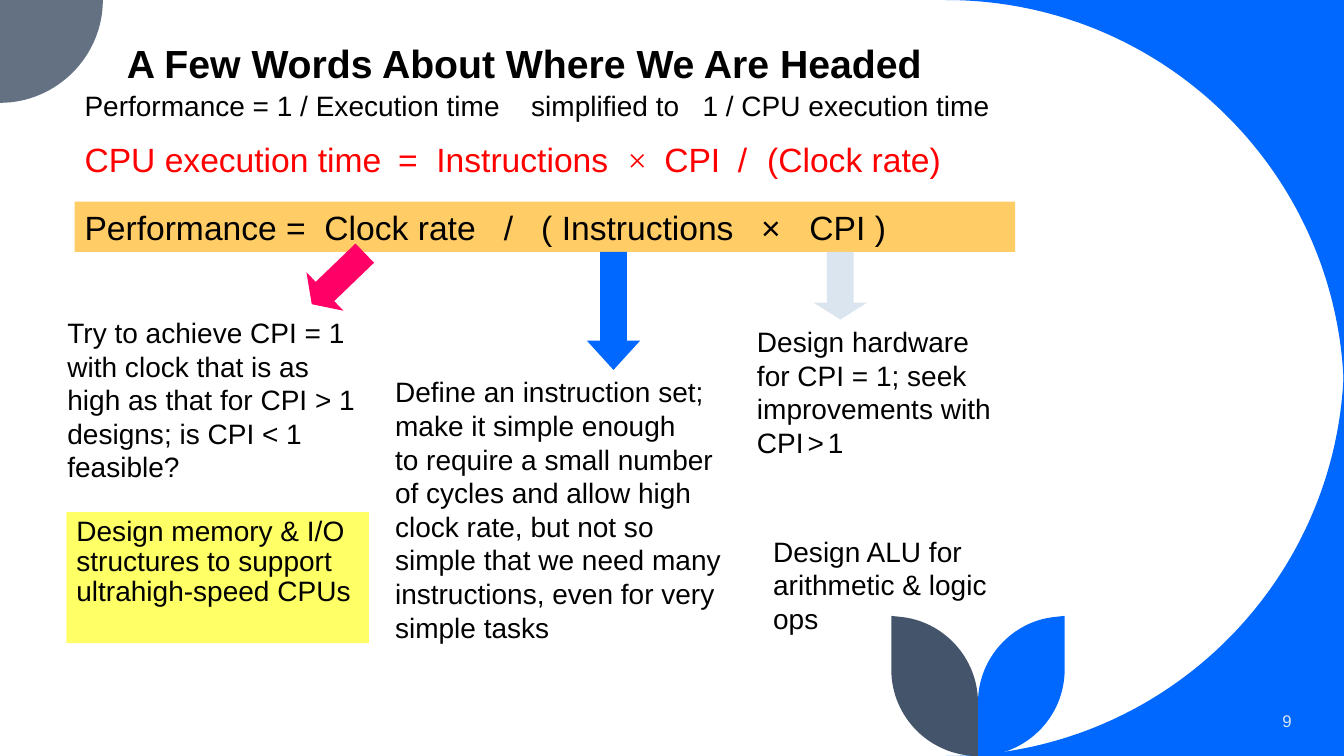
from lxml.etree import SubElement
from pptx import Presentation
from pptx.dml.color import RGBColor
from pptx.enum.shapes import MSO_SHAPE
from pptx.enum.text import MSO_ANCHOR, PP_ALIGN
from pptx.oxml.ns import qn
from pptx.util import Pt

PX = 9144  # EMU per px, 100 px to the inch
BLUE, SLATE, GREY, PALE = "0068FF", "44546A", "637183", "DAE5EF"
BLACK, RED = "000000", "FF0000"
LEAF_AXIS = 970


def rgb(value):
    return RGBColor.from_string(value)


def box(left, top, width, height):
    return [n * PX for n in (left, top, width, height)]


def paint(sp, fill):
    sp.fill.solid()
    sp.fill.fore_color.rgb = rgb(fill)
    sp.line.fill.background()
    sp.shadow.inherit = False


def add_outline(s, points, curves, fill):
    """Closed outline; each index in curves starts a cubic of three points."""
    builder = s.shapes.build_freeform(*points[0], scale=PX)
    builder.add_line_segments(points[1:], close=True)
    sp = builder.convert_to_shape()
    lines = [None] + list(sp._element.iter(qn("a:lnTo")))
    for i in curves:
        lines[i].tag = qn("a:cubicBezTo")
        for line in lines[i + 1:i + 3]:
            lines[i].append(line[0])
            line.getparent().remove(line)
    paint(sp, fill)


def add_leaf(s, fill, mirrored=False):
    points = [(1056, 611), (1056, 664), (1056, 712), (1017, 750), (970, 750),
              (970, 697), (970, 653), (1004, 616), (1047, 612)]
    if mirrored:
        points = [(2 * LEAF_AXIS - x, y) for x, y in points]
    add_outline(s, points, (2, 6), fill)


def set_tabs(p, stops):
    tabs = SubElement(p._p.get_or_add_pPr(), qn("a:tabLst"))
    for stop in stops:
        SubElement(tabs, qn("a:tab"), pos=str(stop * PX), algn="l")


def format_run(r, size, color=BLACK, bold=False, font="Arial"):
    r.font.name = font
    r.font.size = Pt(size)
    r.font.bold = bold
    r.font.color.rgb = rgb(color)


def fill_text(sp, lines, size=20, color=BLACK, bold=False, spacing=1.0,
              align=PP_ALIGN.LEFT, anchor=MSO_ANCHOR.TOP):
    tf = sp.text_frame
    tf.word_wrap = True
    tf.vertical_anchor = anchor
    tf.text = "\n".join(lines)
    for p in tf.paragraphs:
        p.alignment = align
        p.line_spacing = spacing
        for r in p.runs:
            format_run(r, size, color, bold)
    return tf


def add_text(s, place, lines, **style):
    return fill_text(s.shapes.add_textbox(*box(*place)), lines, **style)


def add_panel(s, place, fill, text, **style):
    sp = s.shapes.add_shape(MSO_SHAPE.RECTANGLE, *box(*place))
    paint(sp, fill)
    return fill_text(sp, [text], **style)


def add_arrow(s, place, head, fill, rotation=0):
    sp = s.shapes.add_shape(MSO_SHAPE.DOWN_ARROW, *box(*place))
    sp.adjustments[0] = 0.5
    sp.adjustments[1] = head
    sp.rotation = rotation
    paint(sp, fill)


def add_background(s):
    corners = (
        ([(1333, 0), (938, 0), (1157, 0), (1333, 177), (1333, 395)], BLUE),
        ([(1333, 750), (1333, 355), (1333, 573), (1157, 750), (938, 750)], BLUE),
        ([(0, 0), (102, 0), (102, 56), (56, 102), (0, 102)], GREY),
    )
    for points, fill in corners:
        add_outline(s, points, (2,), fill)
    add_leaf(s, BLUE)
    add_leaf(s, SLATE, mirrored=True)


def add_formulas(s):
    tf = add_text(s, (74, 83, 933, 126), [
        "Performance = 1 / Execution time\tsimplified to\t1 / CPU execution time"])
    set_tabs(tf.paragraphs[0], (443, 613))

    p = tf.add_paragraph()
    p.space_before = Pt(12)
    set_tabs(p, (311, 349, 539, 575, 648, 677))
    for text, font in (("CPU execution time\t=\tInstructions\t", "Arial"),
                       ("×", "Times New Roman"),
                       ("\tCPI\t/\t(Clock rate)", "Arial")):
        r = p.add_run()
        r.text = text
        format_run(r, 24, RED, font=font)

    tf = add_panel(s, (74, 200, 933, 50), "FFCC66",
                   "Performance =\tClock rate\t/\t( Instructions\t×\tCPI )", size=24)
    set_tabs(tf.paragraphs[0], (238, 416, 453, 671, 719))


def add_instruction_notes(s):
    add_arrow(s, (582, 250, 53, 117), 0.549, BLUE)
    add_text(s, (382, 367, 350, 277), [
        "Define an instruction set;",
        "make it simple enough",
        "to require a small number",
        "of cycles and allow high clock rate, but not so simple that we need "
        "many instructions, even for very simple tasks"])


def add_cpi_notes(s):
    add_arrow(s, (807, 250, 53, 67), 0.314, PALE)
    tf = add_text(s, (741, 317, 283, 143), [
        "Design hardware", "for CPI = 1; seek improvements with CPI"])
    for text, size in ((" ", 10), (">", 20), (" ", 10), ("1", 20)):
        r = tf.paragraphs[1].add_run()
        r.text = text
        format_run(r, size)
    add_text(s, (757, 525, 250, 110), ["Design ALU for arithmetic & logic ops"])


def add_clock_notes(s):
    add_arrow(s, (309, 240, 53, 73), 0.342, "FF0066", rotation=46.1)
    add_text(s, (57, 308, 308, 177), [
        "Try to achieve CPI = 1 with clock that is as high as that for "
        "CPI > 1 designs; is CPI < 1 feasible?"])
    add_panel(s, (66, 508, 300, 130), "FFFF66",
              "Design memory & I/O structures to support ultrahigh-speed CPUs",
              spacing=0.9)


def main():
    prs = Presentation()
    prs.slide_width, prs.slide_height = 1333 * PX, 750 * PX
    s = prs.slides.add_slide(prs.slide_layouts[6])
    add_background(s)
    add_text(s, (1110, 695, 181, 40), ["9"], size=12, color=PALE,
             align=PP_ALIGN.RIGHT, anchor=MSO_ANCHOR.MIDDLE)
    add_text(s, (116, 0, 850, 91), ["A Few Words About Where We Are Headed"],
             size=28, bold=True, spacing=0.9, anchor=MSO_ANCHOR.BOTTOM)
    add_formulas(s)
    add_instruction_notes(s)
    add_cpi_notes(s)
    add_clock_notes(s)
    prs.save("out.pptx")


if __name__ == "__main__":
    main()
